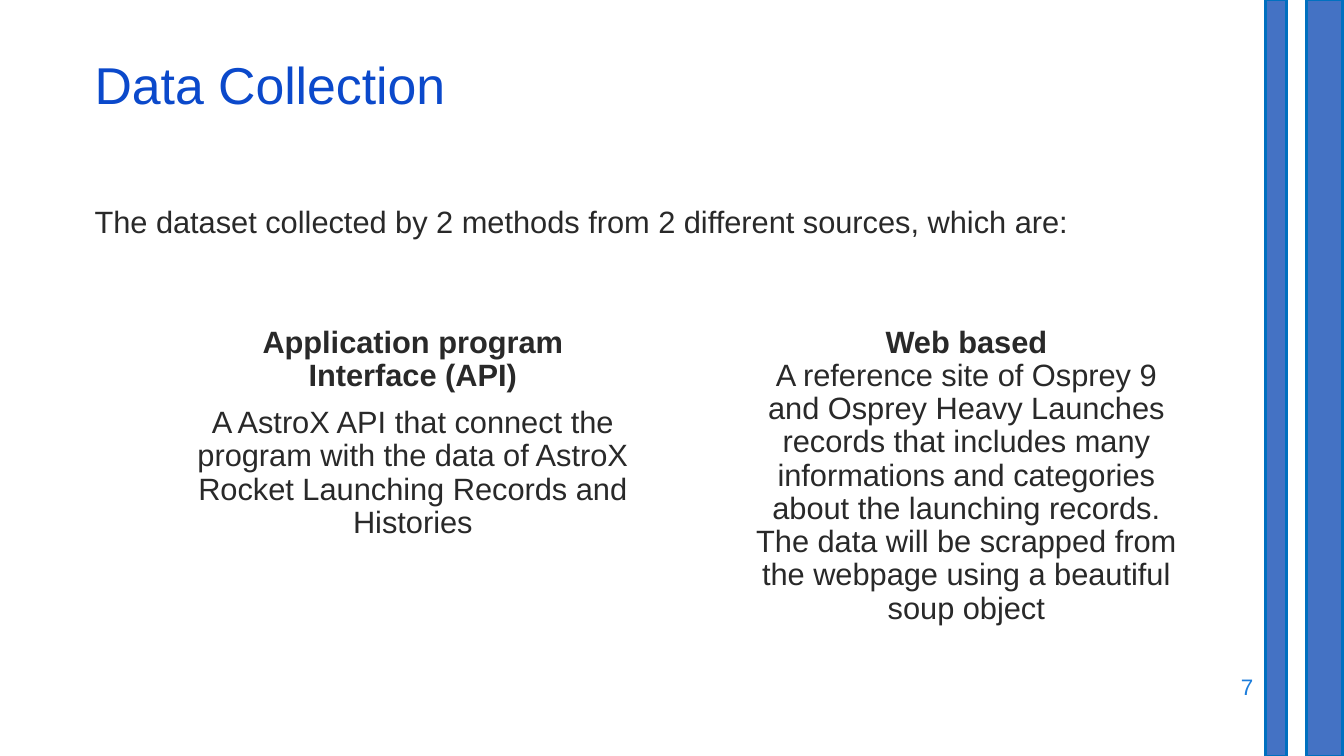
from pptx import Presentation
from pptx.dml.color import RGBColor
from pptx.enum.shapes import MSO_SHAPE
from pptx.enum.text import MSO_ANCHOR, PP_ALIGN
from pptx.util import Inches, Pt

BLUE = RGBColor(0x0B, 0x49, 0xCB)
SKY = RGBColor(0x1C, 0x7D, 0xDB)
INK = RGBColor(0x29, 0x29, 0x29)
BAR = RGBColor(0x44, 0x72, 0xC4)
EDGE = RGBColor(0x00, 0x70, 0xC0)


class Page:
    font = "Arial"

    def __init__(self, deck):
        self.slide = deck.slides.add_slide(deck.slide_layouts[6])

    def text(self, lines, left, top, width, height, *, size=22, color=INK,
             align=PP_ALIGN.LEFT, anchor=MSO_ANCHOR.TOP, lead=0.9,
             gap=0, indent=0, head=False):
        """Add a text box; head makes its first paragraph bold."""
        box = self.slide.shapes.add_textbox(
            Inches(left), Inches(top), Inches(width), Inches(height))
        frame = box.text_frame
        frame.word_wrap = True
        frame.vertical_anchor = anchor
        for i, line in enumerate(lines):
            para = frame.add_paragraph() if i else frame.paragraphs[0]
            para.alignment = align
            para.line_spacing = lead
            para.space_before = Pt(gap if i else 0)
            if indent:
                props = para._p.get_or_add_pPr()
                props.set("marL", str(Inches(indent)))
                props.set("indent", "0")
            run = para.add_run()
            run.text = line
            run.font.name = self.font
            run.font.size = Pt(size)
            run.font.bold = head and i == 0
            run.font.color.rgb = color

    def column(self, left, title, body, gap=0):
        self.text([title, body], left, 3.19, 4.57, 4.76, gap=gap,
                  align=PP_ALIGN.CENTER, indent=0.1, head=True)

    def stripe(self, left, width):
        bar = self.slide.shapes.add_shape(
            MSO_SHAPE.RECTANGLE, Inches(left), 0, Inches(width), Inches(7.5))
        bar.shadow.inherit = False
        bar.fill.solid()
        bar.fill.fore_color.rgb = BAR
        bar.line.color.rgb = EDGE
        bar.line.width = Pt(2)


def main():
    deck = Presentation()
    deck.slide_width, deck.slide_height = Inches(13.33), Inches(7.5)
    page = Page(deck)
    page.text(["7"], 9.53, 6.59, 3, 0.44, size=16, color=SKY,
              align=PP_ALIGN.RIGHT, anchor=MSO_ANCHOR.MIDDLE, lead=1.0)
    page.text(["The dataset collected by 2 methods from 2 different sources, "
               "which are:"], 0.84, 2, 11.5, 4.76)
    page.text(["Data Collection"], 0.84, 0.59, 11.5, 0.6, size=37,
              color=BLUE, anchor=MSO_ANCHOR.MIDDLE, lead=0.8)
    page.column(1.76, "Application program Interface (API)",
                "A AstroX API that connect the program with the data of "
                "AstroX Rocket Launching Records and Histories", gap=10)
    page.column(7.25, "Web based",
                "A reference site of Osprey 9 and Osprey Heavy Launches "
                "records that includes many informations and categories "
                "about the launching records. The data will be scrapped "
                "from the webpage using a beautiful soup object")
    for left, width in ((12.96, 0.36), (12.55, 0.21)):
        page.stripe(left, width)
    deck.save("out.pptx")


if __name__ == "__main__":
    main()
